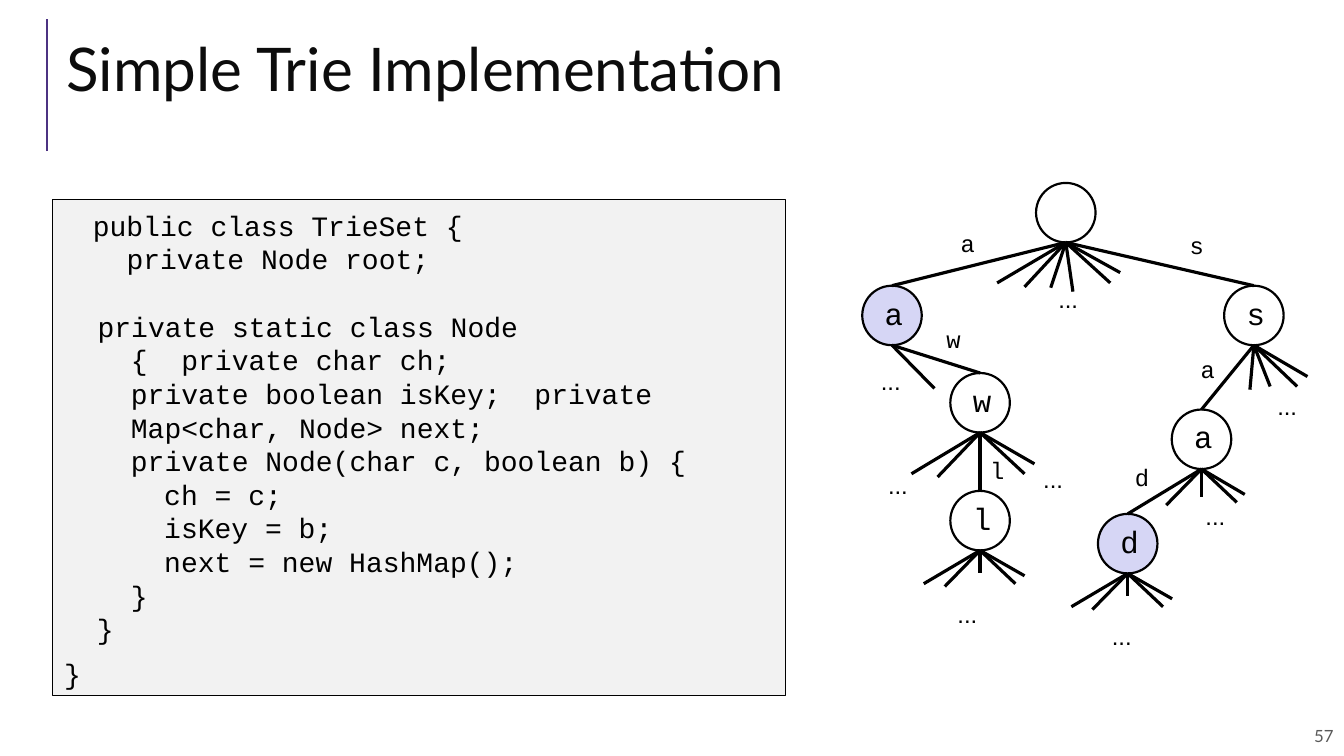
from lxml import etree
from pptx import Presentation
from pptx.dml.color import RGBColor
from pptx.enum.shapes import MSO_CONNECTOR, MSO_SHAPE
from pptx.enum.text import MSO_ANCHOR, PP_ALIGN
from pptx.oxml.ns import qn
from pptx.util import Cm, Pt

LINE = MSO_CONNECTOR.STRAIGHT
RECT, OVAL = MSO_SHAPE.RECTANGLE, MSO_SHAPE.OVAL
TOP, MID = MSO_ANCHOR.TOP, MSO_ANCHOR.MIDDLE
LEFT, RIGHT, CENTER = PP_ALIGN.LEFT, PP_ALIGN.RIGHT, PP_ALIGN.CENTER

HUES = {"ink": "000000", "title": "0C0C0C", "gray": "595959",
        "bar": "4C3282", "key": "D6D6F5", "code": "F2F2F2"}
HUES = {name: RGBColor.from_string(code) for name, code in HUES.items()}
FONTS = {
    "title": {"name": "Lato", "size": Pt(43)},
    "page": {"name": "Lato", "size": Pt(12)},
    "code": {"name": "Courier New", "size": Pt(20)},
    "node": {"name": "Courier New", "size": Pt(22)},
    "edge": {"name": "Courier New", "size": Pt(17)},
    "dots": {"name": "Arial", "size": Pt(17)},
}


def write(shape, rows, font, hue="ink", align=LEFT, anchor=TOP, pads=(0.08, 0.05, 0, 0)):
    frame = shape.text_frame
    frame.word_wrap = True
    frame.vertical_anchor = anchor
    for side, pad in zip(("left", "top", "right", "bottom"), pads):
        setattr(frame, "margin_" + side, Cm(pad))
    for i, row in enumerate(rows):
        para = frame.add_paragraph() if i else frame.paragraphs[0]
        para.text = row
        para.alignment = align
        for run in para.runs:
            for key, value in FONTS[font].items():
                setattr(run.font, key, value)
            run.font.color.rgb = HUES[hue]
    return frame


def paint(shape, fill, width):
    shape.shadow.inherit = False
    if fill:
        shape.fill.solid()
        shape.fill.fore_color.rgb = HUES[fill]
    else:
        shape.fill.background()
    shape.line.color.rgb = HUES["ink"]
    shape.line.width = Pt(width)


deck = Presentation()
deck.slide_width, deck.slide_height = Cm(33.87), Cm(19.05)
slide = deck.slides.add_slide(deck.slide_layouts[6])

bar = slide.shapes.add_connector(LINE, Cm(1.19), Cm(3.81), Cm(1.19), Cm(0.48))
bar.line.color.rgb = HUES["bar"]
bar.line.width = Pt(1.5)
etree.SubElement(bar._element.spPr, qn("a:effectLst"))
page = slide.shapes.add_textbox(Cm(21.97), Cm(18.03), Cm(11.89), Cm(1.02))
write(page, ["57"], "page", "gray", RIGHT, MID, (0.25,) * 4)
title = slide.shapes.add_textbox(Cm(1.6), Cm(0.74), Cm(31.06), Cm(1.9))
write(title, ["Simple Trie Implementation"], "title", "title")

code = [
    ("public class TrieSet {", 1.02, 0, 0, 0),
    ("private Node root;", 1.87, 0, 0, 0),
    ("private static class Node {  private char ch;", 1.98, 6.32, -0.84, 24),
    ("private boolean isKey;  private Map<char, Node> next;", 1.98, 0, 0, 0),
    ("private Node(char c, boolean b) {", 1.98, 0, 0, 0),
    ("ch = c;  isKey = b;", 2.82, 10.64, 0, 0),
    ("next = new HashMap();", 2.82, 0, 0, 0),
    ("}", 1.98, 0, 0, 0),
    ("}", 1.12, 0, 0, 0),
    ("}", 0.3, 0, 0, 8),
]
box = slide.shapes.add_shape(RECT, Cm(1.32), Cm(5.03), Cm(18.47), Cm(12.5))
paint(box, "code", 0.75)
frame = write(box, [row[0] for row in code], "code", pads=(0, 0.22, 0, 0))
for para, (_, left, right, first, gap) in zip(frame.paragraphs, code):
    props = para._p.get_or_add_pPr()
    for key, value in {"marL": left, "marR": right, "indent": first}.items():
        props.set(key, str(Cm(value)))
    para.line_spacing = Pt(24)
    para.space_before = Pt(gap)

leaf = [(-0.89, 0.91), (-1.42, 0.84), (0.89, 0.84), (1.12, 0.64), (0, 0.56)]
nodes = {
    "root": ("", 26.86, 5.36, None, [(-1.73, 1.02), (-1.04, 1.12), (-0.38, 1.14),
                                     (0.18, 1.24), (1.12, 1.02), (1.37, 0.76)]),
    "a": ("a", 22.48, 7.95, "key", [(1.07, 1.09)]),
    "s": ("s", 31.6, 7.95, None, [(-0.1, 1.12), (0.41, 1.04), (1.09, 1.04), (1.35, 0.79)]),
    "aw": ("w", 24.7, 10.15, None, [(-1.73, 1.04), (-1.07, 1.12), (1.12, 1.04), (1.37, 0.79)]),
    "sa": ("a", 30.28, 11.07, None, [(-0.89, 0.91), (0, 0.71), (0.89, 0.84), (1.09, 0.64)]),
    "awl": ("l", 24.7, 13.12, None, leaf),
    "sad": ("d", 28.42, 13.7, "key", leaf),
}
rad = 0.75
for char, x, y, fill, _ in nodes.values():
    node = slide.shapes.add_shape(OVAL, Cm(x - rad), Cm(y - rad), Cm(2 * rad), Cm(2 * rad))
    paint(node, fill, 1.56)
    if char:
        write(node, [char], "node", align=CENTER, pads=(0.1, 0, 0, 0))

edges = [
    ("root", "a", 24.13, 5.72), ("root", "s", 29.9, 5.77),
    ("a", "aw", 23.77, 8.13), ("s", "sa", 30.18, 8.89),
    ("aw", "awl", 24.87, 11.43), ("sa", "sad", 28.52, 11.61),
]
for group in (("root", "a", "aw"), ("s", "sa", "sad"), ("awl",)):
    rays = []
    for name in group:
        _, x, y, _, stubs = nodes[name]
        base = (Cm(x), Cm(y + rad))
        rays += [(base, (Cm(x + dx), Cm(y + rad + dy))) for dx, dy in stubs]
        rays += [(base, (Cm(nodes[end][1]), Cm(nodes[end][2] - rad)))
                 for start, end, _, _ in edges if start == name]
    pen = slide.shapes.build_freeform(*rays[0][0])
    for base, tip in rays:
        pen.move_to(*base)
        pen.add_line_segments([tip], close=False)
    paint(pen.convert_to_shape(), None, 2.28)

dots = [(26.59, 7.12), (22.12, 9.19), (32.11, 9.83), (22.3, 11.81),
        (26.21, 11.66), (30.3, 12.6), (24.05, 15.06), (27.94, 15.62)]
tags = [(nodes[end][0], x, y, "edge") for _, end, x, y in edges]
tags += [("...", x, y, "dots") for x, y in dots]
for text, x, y, font in tags:
    tag = slide.shapes.add_textbox(Cm(x), Cm(y), Cm(0.64), Cm(0.79))
    write(tag, [text], font)

deck.save("out.pptx")
